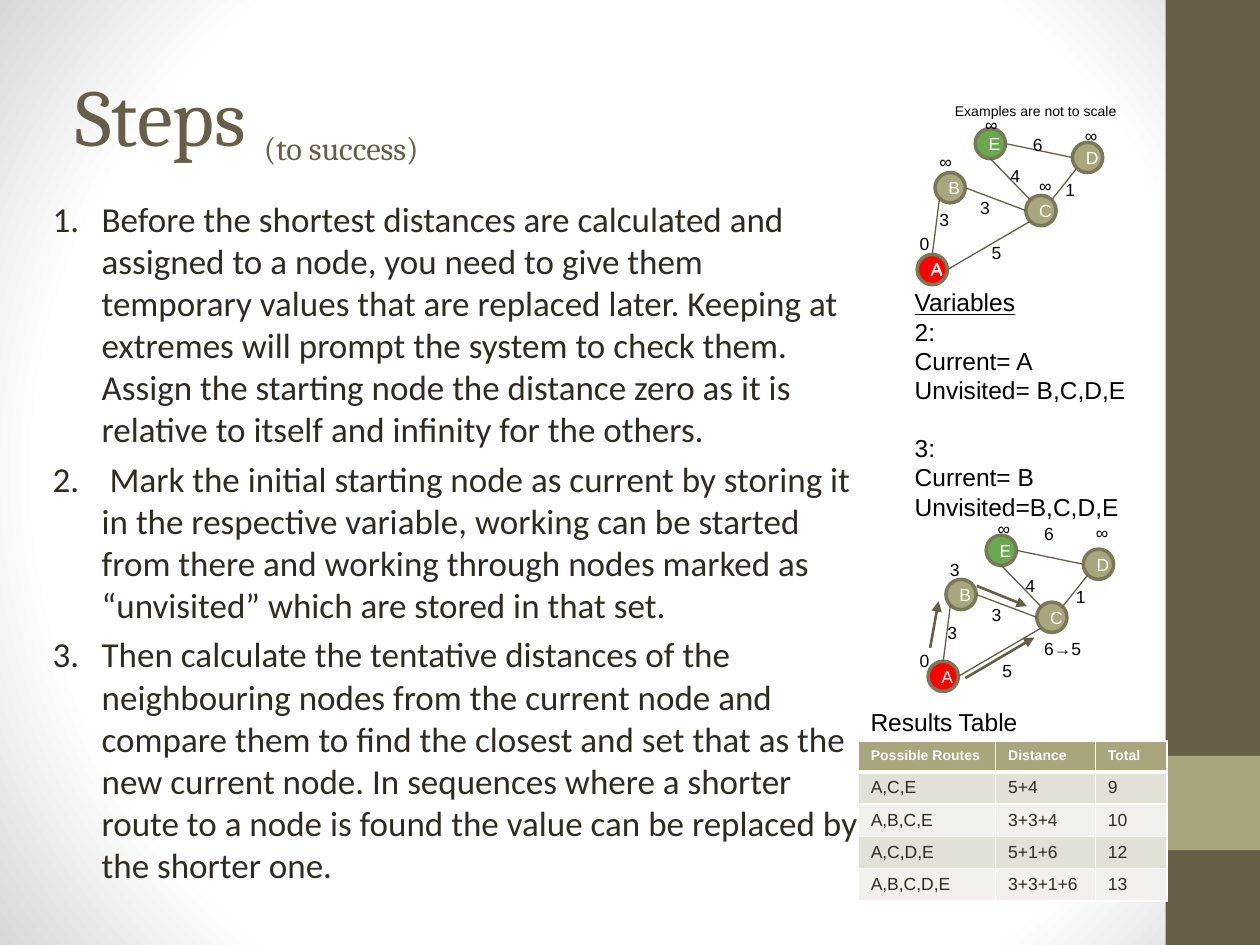
import math

import pptx
import pptx.dml.color
import pptx.enum.shapes
import pptx.enum.text
import pptx.oxml
import pptx.oxml.ns
import pptx.util
from lxml import etree

Cm = pptx.util.Cm
Pt = pptx.util.Pt
qn = pptx.oxml.ns.qn
ANCHOR = pptx.enum.text.MSO_ANCHOR
ALIGN = pptx.enum.text.PP_ALIGN
SHAPE = pptx.enum.shapes.MSO_SHAPE

BROWN, SAND, RIM, INK = "675E47", "A9A57C", "7B785A", "2F2B20"
WHITE, BLACK, RED, GREEN = "FFFFFF", "000000", "FF0000", "6AA84F"
NODE = 0.61  # diameter of a graph node


def rgb(value):
    return pptx.dml.color.RGBColor.from_string(value)


class SlideBuilder:
    """Holds the style and the slide; self.shapes is where new elements go."""

    def __init__(self, slide):
        self.slide = slide
        self.shapes = slide.shapes

    def background(self, stops):
        self.slide.background.fill.solid()
        properties = self.slide.element.find(".//" + qn("p:bgPr"))
        marks = "".join(f'<a:gs pos="{pos * 1000}"><a:srgbClr val="{color}"/></a:gs>'
                        for pos, color in stops)
        gradient = pptx.oxml.parse_xml(
            f'<a:gradFill {pptx.oxml.ns.nsdecls("a")} rotWithShape="1"><a:gsLst>{marks}</a:gsLst>'
            '<a:path path="circle"><a:fillToRect l="50000" t="50000" r="50000" b="50000"/>'
            '</a:path></a:gradFill>')
        properties.replace(properties[0], gradient)

    def run(self, paragraph, text, size, color, font="Arial", bold=False):
        run = paragraph.add_run()
        run.text = text
        run.font.size, run.font.name, run.font.bold = Pt(size), font, bold
        run.font.color.rgb = rgb(color)
        return run

    def frame(self, shape, anchor=ANCHOR.TOP, inset=0.13):
        frame = shape.text_frame
        frame.word_wrap = True
        frame.auto_size = pptx.enum.text.MSO_AUTO_SIZE.NONE
        frame.vertical_anchor = anchor
        frame.margin_left = frame.margin_right = Cm(0.25)
        frame.margin_top = frame.margin_bottom = Cm(inset)
        return frame

    def placeholder(self, holder, left, top, width, height, anchor):
        holder.left, holder.top = Cm(left), Cm(top)
        holder.width, holder.height = Cm(width), Cm(height)
        return self.frame(holder, anchor, 0.25)

    def title(self, main, aside):
        frame = self.placeholder(self.slide.shapes.title, 1.27, 0.76, 21.16, 3.18, ANCHOR.MIDDLE)
        line = frame.paragraphs[0]
        line.alignment = ALIGN.LEFT
        self.run(line, main, 46, BROWN, "Cambria")
        lowered = self.run(line, aside, 32, BROWN, "Cambria")
        lowered.font._element.set("baseline", "-25000")

    def numbered_list(self, items):
        frame = self.placeholder(self.slide.placeholders[1], 0.53, 3.73, 17.07, 14.81, ANCHOR.TOP)
        for index, item in enumerate(items):
            step = frame.add_paragraph() if index else frame.paragraphs[0]
            step.space_before = Pt(4.4 if index else 0)
            properties = step._p.get_or_add_pPr()
            properties.set("marL", str(Cm(1.27)))
            properties.set("indent", str(-Cm(0.99)))
            etree.SubElement(properties, qn("a:buFont"), typeface="Calibri")
            etree.SubElement(properties, qn("a:buAutoNum"), type="arabicPeriod")
            self.run(step, item, 20, INK, "Calibri")

    def text(self, words, left, top, width=0.58, height=0.74, size=10, color=BLACK):
        box = self.shapes.add_textbox(Cm(left), Cm(top), Cm(width), Cm(height))
        self.run(self.frame(box).paragraphs[0], words, size, color)

    def variables(self, heading, groups, left, top, width, height):
        box = self.shapes.add_textbox(Cm(left), Cm(top), Cm(width), Cm(height))
        frame = self.frame(box, inset=0.25)
        self.run(frame.paragraphs[0], heading, 14, BLACK).font.underline = True
        for number, group in enumerate(groups):
            for row, words in enumerate(group):
                line = frame.add_paragraph()
                if number and not row:
                    line.space_before = Pt(16.1)
                self.run(line, words, 14, BLACK)

    def shape(self, kind, left, top, width, height, fill, rim=None):
        shape = self.shapes.add_shape(kind, Cm(left), Cm(top), Cm(width), Cm(height))
        shape.shadow.inherit = False
        shape.fill.solid()
        shape.fill.fore_color.rgb = rgb(fill)
        if rim:
            shape.line.color.rgb = rgb(rim)
            shape.line.width = Pt(2)
        else:
            shape.line.fill.background()
        return shape

    def node(self, name, left, top, fill):
        circle = self.shape(SHAPE.OVAL, left, top, NODE, NODE, fill, RIM)
        label = self.frame(circle, ANCHOR.MIDDLE).paragraphs[0]
        label.alignment = ALIGN.LEFT if name == "A" else ALIGN.CENTER
        self.run(label, name, 10, WHITE)

    def line(self, start, end, width=0.75, arrow=False):
        line = self.shapes.add_connector(pptx.enum.shapes.MSO_CONNECTOR.STRAIGHT,
                                         *(Cm(value) for value in (*start, *end)))
        line.line.color.rgb = rgb(BROWN)
        line.line.width = Pt(width)
        if arrow:
            etree.SubElement(line.line._get_or_add_ln(), qn("a:tailEnd"), type="triangle")
        etree.SubElement(line._element.spPr, qn("a:effectLst"))

    def graph(self, nodes, edges, labels, dx=0, dy=0):
        def rim_point(name, angle):
            left, top, _ = nodes[name]
            turn, radius = math.radians(angle), NODE / 2
            return (left + dx + radius * (1 + math.cos(turn)),
                    top + dy + radius * (1 - math.sin(turn)))

        for name, (left, top, fill) in nodes.items():
            self.node(name, left + dx, top + dy, fill)
        for first, first_angle, second, second_angle in edges:
            self.line(rim_point(first, first_angle), rim_point(second, second_angle))
        for label in labels:
            self.text(*label)

    def table(self, rows, left, top, widths, header_height, row_height):
        heights = [header_height] + [row_height] * (len(rows) - 1)
        table = self.shapes.add_table(len(rows), len(widths), Cm(left), Cm(top),
                                      Cm(sum(widths)), Cm(sum(heights))).table
        for column, width in zip(table.columns, widths):
            column.width = Cm(width)
        for r, row in enumerate(rows):
            table.rows[r].height = Cm(heights[r])
            fill = SAND if r == 0 else ("F1F0EC", "E2E1D7")[r % 2]
            for c, words in enumerate(row):
                cell = table.cell(r, c)
                cell.fill.solid()
                cell.fill.fore_color.rgb = rgb(fill)
                self.run(cell.text_frame.paragraphs[0], words, 10 if r else 8,
                         INK if r else WHITE, bold=r == 0)
                thick = {0: "lnB", 1: "lnT"}.get(r)
                for place, side in enumerate(("lnL", "lnR", "lnT", "lnB")):
                    border = pptx.oxml.parse_xml(
                        f'<a:{side} {pptx.oxml.ns.nsdecls("a")} w="{Pt(3 if side == thick else 1)}">'
                        f'<a:solidFill><a:srgbClr val="{WHITE}"/></a:solidFill></a:{side}>')
                    cell._tc.get_or_add_tcPr().insert(place, border)


def main():
    deck = pptx.Presentation()
    deck.slide_width, deck.slide_height = Cm(25.4), Cm(19.05)
    page = SlideBuilder(deck.slides.add_slide(deck.slide_layouts[1]))

    # Background and side band
    page.background([(0, WHITE), (75, WHITE), (100, "D8D8D8")])
    page.shape(SHAPE.RECTANGLE, 23.5, 0, 1.9, 19.05, BROWN)
    page.shape(SHAPE.RECTANGLE, 23.5, 15.24, 1.9, 1.9, SAND)

    # Title and steps
    page.title("Steps ", "(to success)")
    page.numbered_list([
        "Before the shortest distances are calculated and assigned to a node, you need to give them "
        "temporary values that are replaced later. Keeping at extremes will prompt the system to check "
        "them. Assign the starting node the distance zero as it is relative to itself and infinity for "
        "the others.",
        " Mark the initial starting node as current by storing it in the respective variable, working can "
        "be started from there and working through nodes marked as “unvisited” which are stored in that set.",
        "Then calculate the tentative distances of the neighbouring nodes from the current node and "
        "compare them to find the closest and set that as the new current node. In sequences where a "
        "shorter route to a node is found the value can be replaced by the shorter one.",
    ])

    # Graph before and after the first step; edges give node and angle at both ends
    nodes = {"A": (18.49, 5.13, RED), "C": (20.68, 3.94, SAND), "B": (18.85, 3.48, SAND),
             "E": (19.66, 2.59, GREEN), "D": (21.62, 2.87, SAND)}
    edges = [("A", 0, "C", 225), ("A", 90, "B", 225), ("C", 45, "D", 225),
             ("E", 270, "C", 135), ("D", 180, "E", 0), ("B", 0, "C", 180)]
    page.graph(nodes, edges, [
        ("0", 18.29, 4.57), ("∞", 20.7, 3.4), ("∞", 18.69, 2.92), ("∞", 19.61, 2.16),
        ("∞", 21.62, 2.39), ("3", 18.69, 4.09), ("3", 19.51, 3.84), ("4", 20.12, 3.2),
        ("5", 19.74, 4.75), ("1", 21.23, 3.48), ("6", 20.57, 2.57)])
    page.text("A", 18.52, 5.08, 0.58, 0.69, color=WHITE)

    page.shapes = page.slide.shapes.add_group_shape().shapes
    page.graph(nodes, edges, [
        ("0", 18.29, 12.98), ("6→5", 20.8, 12.73, 1.8), ("3", 18.9, 11.13), ("∞", 19.86, 10.31),
        ("∞", 21.84, 10.39), ("3", 18.85, 12.4), ("3", 19.74, 12.04), ("4", 20.42, 11.46),
        ("5", 19.96, 13.18), ("1", 21.44, 11.68), ("6", 20.8, 10.41)], 0.22, 8.2)
    for start, end in [((18.75, 13.06), (18.92, 12.12)), ((19.69, 11.81), (20.7, 12.22)),
                       ((19.46, 13.67), (20.85, 12.85))]:
        page.line(start, end, 1.5, arrow=True)
    page.shapes = page.slide.shapes

    # Variables
    page.variables("Variables", [("2:", "Current= A", "Unvisited= B,C,D,E"),
                                 ("3:", "Current= B", "Unvisited=B,C,D,E")], 18.19, 5.54, 5.03, 5.03)

    # Results table and captions
    page.table([("Possible Routes", "Distance", "Total"), ("A,C,E", "5+4", "9"),
                ("A,B,C,E", "3+3+4", "10"), ("A,C,D,E", "5+1+6", "12"),
                ("A,B,C,D,E", "3+3+1+6", "13")], 17.3, 14.94, (2.77, 2.01, 1.45), 0.62, 0.65)
    page.text("Examples are not to scale", 19, 1.93, 4.11, 0.61, 8)
    page.text("Results Table", 17.3, 14.12, 3.99, 0.86, 14)

    deck.save("out.pptx")


if __name__ == "__main__":
    main()
